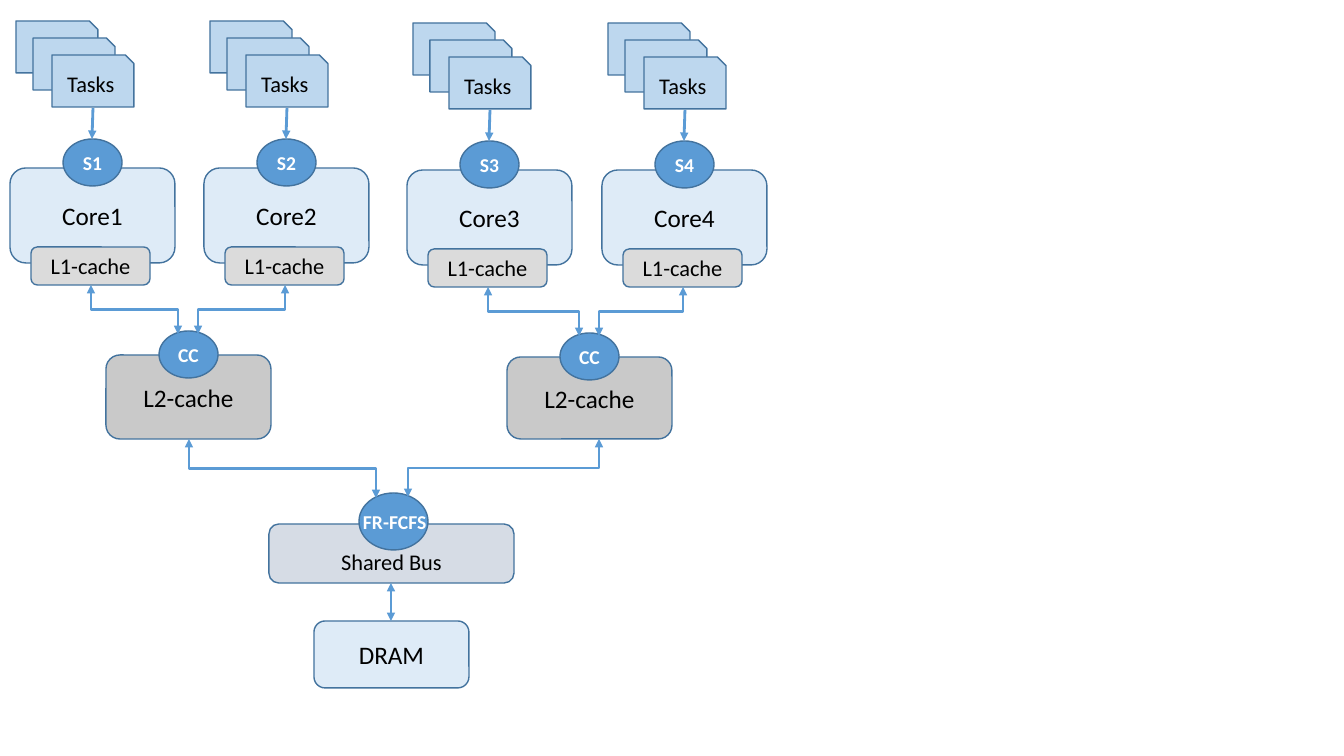
from lxml import etree
from pptx import Presentation
from pptx import util as u
from pptx.dml.color import RGBColor
from pptx.enum import shapes, text
from pptx.oxml import ns

SCALE = 914400 / 100.8
FONT = "Calibri"
COLOURS = {
    "core": "DEEBF7", "task": "BDD7EE", "policy": "5B9BD5", "l1": "DBDBDB",
    "l2": "C9C9C9", "bus": "D6DCE5", "outline": "43739E",
    "black": "000000", "white": "FFFFFF",
}
ROUND = shapes.MSO_SHAPE.ROUNDED_RECTANGLE
OVAL = shapes.MSO_SHAPE.OVAL
CARD = shapes.MSO_SHAPE.SNIP_1_RECTANGLE
CLUSTERS = [
    {"cores": [(1, 10), (2, 204)], "core_top": 168, "l2": (106, 355)},
    {"cores": [(3, 407), (4, 602)], "core_top": 170, "l2": (507, 357)},
]


def px(value):
    return u.Emu(round(value * SCALE))


def rgb(name):
    return RGBColor.from_string(COLOURS[name])


def write(shape, words, size=16, colour="black", bold=False,
          align=text.PP_ALIGN.CENTER, anchor=text.MSO_ANCHOR.MIDDLE, inset=0):
    frame = shape.text_frame
    frame.word_wrap = True
    frame.vertical_anchor = anchor
    frame.margin_left = frame.margin_right = px(inset)
    paragraph = frame.paragraphs[0]
    paragraph.alignment = align
    run = paragraph.add_run()
    run.text = words
    run.font.name = FONT
    run.font.size = u.Pt(size)
    run.font.bold = bold
    run.font.color.rgb = rgb(colour)


def add_box(slide, kind, box, fill, words=None, **style):
    shape = slide.shapes.add_shape(kind, *map(px, box))
    shape.shadow.inherit = False
    shape.fill.solid()
    shape.fill.fore_color.rgb = rgb(fill)
    shape.line.color.rgb = rgb("outline")
    shape.line.width = u.Pt(1)
    if words:
        write(shape, words, **style)


def add_policy(slide, left, top, words):
    add_box(slide, OVAL, (left, top, 59, 47), "policy", words,
            size=14, colour="white", bold=True)


def style_connector(connector, width, ends):
    connector.line.color.rgb = rgb("policy")
    connector.line.width = u.Pt(width)
    line = connector.line._get_or_add_ln()
    for end in ends:
        etree.SubElement(line, ns.qn(f"a:{end}"), type="triangle")
    etree.SubElement(connector.element.spPr, ns.qn("a:effectLst"))


def add_arrow(slide, start, end, ends=("tailEnd",)):
    connector = slide.shapes.add_connector(
        shapes.MSO_CONNECTOR.STRAIGHT, *map(px, start + end))
    style_connector(connector, 2, ends)


def add_elbow(slide, start, end):
    across, down = abs(end[0] - start[0]), end[1] - start[1]
    left = (start[0] + end[0] - down) / 2
    top = (start[1] + end[1] - across) / 2
    rightward = end[0] > start[0]
    sides = (left + down, left) if rightward else (left, left + down)
    connector = slide.shapes.add_connector(
        shapes.MSO_CONNECTOR.ELBOW, px(sides[0]), px(top), px(sides[1]), px(top + across))
    degrees = 270 if rightward else 90
    connector.element.spPr.get_or_add_xfrm().set("rot", str(degrees * 60000))
    style_connector(connector, 1.75, ("headEnd", "tailEnd"))


def add_core(slide, number, left, top):
    add_box(slide, ROUND, (left, top, 165, 95), "core", f"Core{number}", size=18)
    add_policy(slide, left + 53, top - 29, f"S{number}")
    for across, up, words in [(6, 147, None), (23, 130, None), (42, 113, "Tasks")]:
        add_box(slide, CARD, (left + across, top - up, 82, 52), "task", words)
    add_box(slide, ROUND, (left + 21, top + 79, 119, 38), "l1", "L1-cache")
    add_arrow(slide, (left + 83, top - 60), (left + 82, top - 29))


def add_cluster(slide, cores, core_top, l2):
    left, top = l2
    for number, core_left in cores:
        add_core(slide, number, core_left, core_top)
    add_box(slide, ROUND, (left, top, 165, 439 - top), "l2", "L2-cache", size=18)
    add_policy(slide, left + 53, top - 24, "CC")
    for (_, core_left), end in zip(cores, (left + 72, left + 92)):
        add_elbow(slide, (core_left + 81, core_top + 117), (end, top - 21))


def add_memory(slide):
    add_box(slide, ROUND, (269, 524, 245, 59), "bus", "Shared Bus",
            anchor=text.MSO_ANCHOR.BOTTOM)
    add_box(slide, OVAL, (359, 493, 69, 57), "policy")
    label = slide.shapes.add_textbox(*map(px, (353, 505, 93, 34)))
    write(label, "FR-FCFS", size=14, colour="white", bold=True,
          align=text.PP_ALIGN.LEFT, anchor=text.MSO_ANCHOR.TOP, inset=10)
    add_box(slide, ROUND, (314, 621, 155, 67), "core", "DRAM", size=18)
    add_elbow(slide, (189, 439), (376, 498))
    add_elbow(slide, (599, 439), (408, 497))
    add_arrow(slide, (391, 583), (391, 621), ("headEnd", "tailEnd"))


def main():
    presentation = Presentation()
    presentation.slide_width, presentation.slide_height = px(1344), px(756)
    slide = presentation.slides.add_slide(presentation.slide_layouts[6])
    for cluster in CLUSTERS:
        add_cluster(slide, **cluster)
    add_memory(slide)
    presentation.save("out.pptx")


main()
